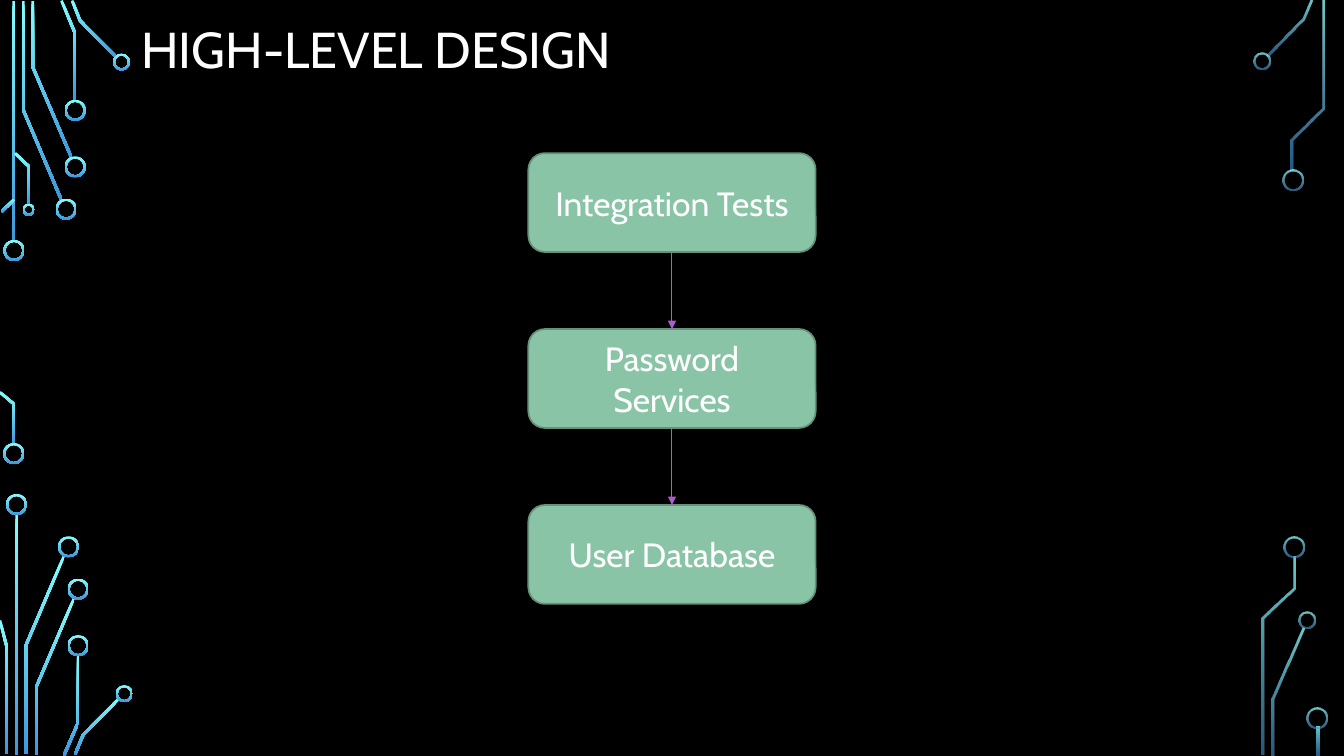
from math import hypot
from lxml.etree import SubElement
from pptx import Presentation
from pptx.dml.color import RGBColor
from pptx.enum.shapes import MSO_CONNECTOR, MSO_SHAPE
from pptx.enum.text import MSO_ANCHOR, MSO_AUTO_SIZE, PP_ALIGN
from pptx.oxml.ns import qn
from pptx.util import Pt

TITLE = "HIGH-LEVEL DESIGN"
LAYERS = ["Integration Tests", "Password Services", "User Database"]
FONT = "Cabin"
COLORS = {
    "background": "000000",
    "text": "FFFFFF",
    "box": "8AC4A7",
    "box_line": "66917C",
    "arrow": "B258D3",
    "trace_top": "82FFFF",
    "trace_bottom": "3D97DE",
}
LARGE, MEDIUM, SMALL = 15.1, 12.2, 8.8
TRACE_WIDTH = 1.9
RING_WIDTH = 1.44
CIRCUITS = [
    {
        "opacity": (100, 100),
        "traces": [
            [(9.8, 0.7), (9.8, 172.8)],
            [(16.6, 0.7), (16.6, 78.5), (43.9, 142.9)],
            [(23.4, 0.7), (23.4, 47.9), (51.1, 112.7)],
            [(43.9, 0.4), (53.6, 23.8), (53.6, 72)],
            [(51.5, 0.4), (57.2, 14.8), (83.2, 41)],
            [(10.1, 142.6), (1.1, 151.2)],
            [(0, 280.1), (10.1, 288.7), (10.1, 317.5)],
            [(10.8, 109.4), (20.9, 119.2), (20.9, 146.2)],
            [(11.9, 367.2), (11.9, 539.3)],
            [(45.7, 397.1), (18.4, 461.2), (18.4, 538.6)],
            [(0, 443.2), (4.7, 461.5), (4.7, 538.6)],
            [(52.9, 427.3), (25.6, 491.4), (25.6, 539.3)],
            [(55.8, 468), (55.8, 516.2), (45.7, 539.6)],
            [(85, 499), (59.4, 524.9), (53.6, 538.9)],
        ],
        "rings": [
            (10, 178.9, LARGE), (9.8, 324, LARGE), (47.2, 149.4, LARGE),
            (53.7, 119.2, LARGE), (53.7, 78.8, LARGE), (86.8, 44.3, MEDIUM),
            (20.5, 149.8, SMALL), (11.8, 360.4, LARGE), (49, 390.6, LARGE),
            (55.8, 420.8, LARGE), (55.8, 461.2, LARGE), (88.8, 495.5, MEDIUM),
        ],
    },
    {
        "opacity": (80, 60),
        "traces": [
            [(936.4, 0.4), (930.6, 14), (905, 40)],
            [(931, 448.9), (909, 499.3), (909, 539.3)],
            [(945, 0.7), (945, 77.4), (923, 99.7), (923, 121.7)],
            [(924.1, 397.4), (924.1, 420.1), (901.8, 441.7), (901.8, 539.3)],
            [(941.4, 519.1), (941.4, 539.3)],
        ],
        "rings": [
            (901.4, 43.6, MEDIUM), (923.4, 128.5, LARGE), (933.5, 443.2, MEDIUM),
            (924.1, 390.6, LARGE), (940.7, 512.6, LARGE),
        ],
    },
]
BOX_LEFT, BOX_TOP, BOX_WIDTH, BOX_HEIGHT, BOX_PITCH = 377.4, 109.4, 205.2, 70.6, 125.65


def color(name):
    return RGBColor.from_string(COLORS[name])


def write(text_frame, text, size):
    text_frame.word_wrap = True
    text_frame.vertical_anchor = MSO_ANCHOR.MIDDLE
    paragraph = text_frame.paragraphs[0]
    run = paragraph.add_run()
    run.text = text
    run.font.name = FONT
    run.font.size = Pt(size)
    run.font.color.rgb = color("text")
    return paragraph


def ribbon(points, half):
    normals = []
    for (x1, y1), (x2, y2) in zip(points, points[1:]):
        length = hypot(x2 - x1, y2 - y1)
        normals.append(((y1 - y2) / length, (x2 - x1) / length))
    before, after = normals[:1] + normals, normals + normals[-1:]
    left, right = [], []
    for (x, y), (ax, ay), (bx, by) in zip(points, before, after):
        scale = half / (1 + ax * bx + ay * by)
        dx, dy = (ax + bx) * scale, (ay + by) * scale
        left.append((Pt(x + dx), Pt(y + dy)))
        right.append((Pt(x - dx), Pt(y - dy)))
    return left + right[::-1]


def paint_circuit(shape, opacity):
    shape.shadow.inherit = False
    shape.line.fill.background()
    shape.fill.gradient()
    shape.fill.gradient_angle = 270
    for stop, name in zip(shape.fill.gradient_stops, ("trace_top", "trace_bottom")):
        stop.color.rgb = color(name)
    for element, percent in zip(shape._element.spPr.iter(qn("a:srgbClr")), opacity):
        if percent < 100:
            SubElement(element, qn("a:alpha"), val=str(percent * 1000))


def add_circuit(slide, circuit):
    for points in circuit["traces"]:
        outline = ribbon(points, TRACE_WIDTH / 2)
        builder = slide.shapes.build_freeform(*outline[0])
        builder.add_line_segments(outline[1:], close=True)
        paint_circuit(builder.convert_to_shape(), circuit["opacity"])
    for x, y, size in circuit["rings"]:
        ring = slide.shapes.add_shape(
            MSO_SHAPE.DONUT, Pt(x - size / 2), Pt(y - size / 2), Pt(size), Pt(size))
        ring.adjustments[0] = RING_WIDTH / size
        paint_circuit(ring, circuit["opacity"])


def add_box(slide, index, text):
    box = slide.shapes.add_shape(
        MSO_SHAPE.ROUNDED_RECTANGLE, Pt(BOX_LEFT), Pt(BOX_TOP + index * BOX_PITCH),
        Pt(BOX_WIDTH), Pt(BOX_HEIGHT))
    box.shadow.inherit = False
    box.fill.solid()
    box.fill.fore_color.rgb = color("box")
    box.line.color.rgb = color("box_line")
    box.line.width = Pt(1.25)
    write(box.text_frame, text, 24).alignment = PP_ALIGN.CENTER
    return box


def add_arrow(slide, upper, lower):
    arrow = slide.shapes.add_connector(MSO_CONNECTOR.STRAIGHT, 0, 0, 0, 0)
    arrow.begin_connect(upper, 2)
    arrow.end_connect(lower, 0)
    arrow.line.color.rgb = color("arrow")
    arrow.line.width = Pt(0.75)
    SubElement(arrow.line._get_or_add_ln(), qn("a:tailEnd"), type="triangle")
    SubElement(arrow._element.spPr, qn("a:effectLst"))


def main():
    presentation = Presentation()
    presentation.slide_width, presentation.slide_height = Pt(960), Pt(540)
    slide = presentation.slides.add_slide(presentation.slide_layouts[5])
    slide.background.fill.solid()
    slide.background.fill.fore_color.rgb = color("background")
    for circuit in CIRCUITS:
        add_circuit(slide, circuit)

    title = slide.shapes.title
    title.left, title.top, title.width, title.height = Pt(93.6), Pt(11.5), Pt(795.6), Pt(51.8)
    title.text_frame.auto_size = MSO_AUTO_SIZE.NONE
    heading = write(title.text_frame, TITLE, 36)
    heading.alignment = PP_ALIGN.LEFT
    heading.line_spacing = 0.9

    boxes = [add_box(slide, index, text) for index, text in enumerate(LAYERS)]
    for upper, lower in zip(boxes, boxes[1:]):
        add_arrow(slide, upper, lower)
    presentation.save("out.pptx")


if __name__ == "__main__":
    main()
